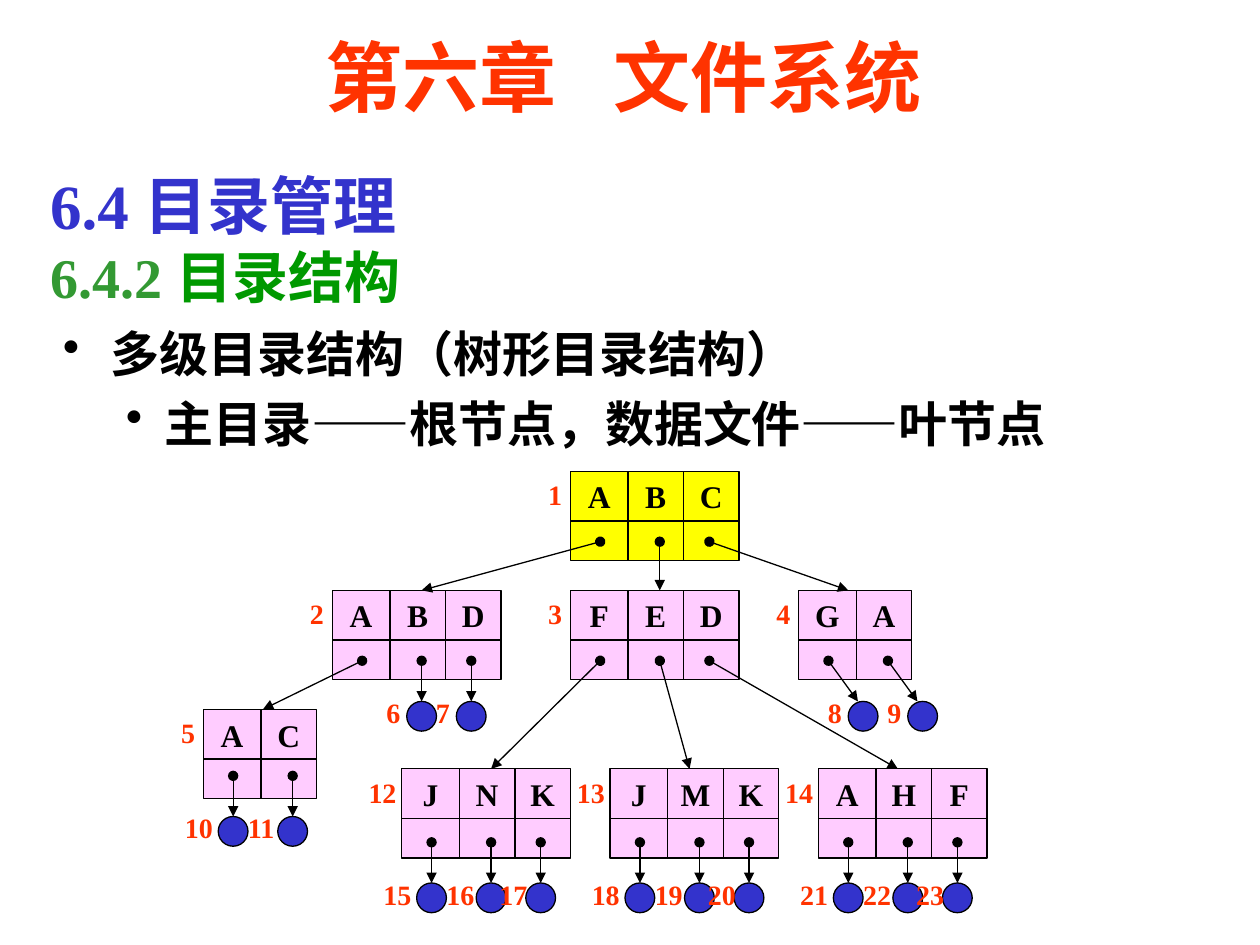
import dataclasses

import lxml.etree
import pptx
import pptx.dml.color
import pptx.enum.shapes
import pptx.enum.text
import pptx.oxml.ns
import pptx.util


@dataclasses.dataclass(frozen=True)
class Theme:
    font: str = "Times New Roman"
    red: str = "FF3300"
    blue: str = "3333CC"
    green: str = "339933"
    dark_green: str = "009900"
    black: str = "000000"
    yellow: str = "FFFF00"
    pink: str = "FFCCFF"
    title: int = 44
    section: int = 36
    subsection: int = 32
    body: int = 28
    entry: int = 18
    number: int = 16
    line: float = 0.75


@dataclasses.dataclass(frozen=True)
class Directory:
    number: int
    names: str
    column: float
    row: float
    fill: str
    entry: float = 0
    children: tuple = ()
    leaves: tuple = ()
    leaf_shift: float = 0
    leaf_drop: float = 12.7


THEME = Theme()
WIDTH, HEIGHT = pptx.util.Inches(10), pptx.util.Inches(7.5)
CELL_EDGES = (5.8, 11.4, 17)
POINTERS = (3, 9, 14)
NAME_ROW, BOX_HEIGHT, LEAF = 5, 9, 3
TREE_COLUMN, TREE_ROW = 20.5, 47.5

DIRECTORIES = (
    Directory(1, "ABC", 37, 0, THEME.yellow, children=(2, 3, 4)),
    Directory(2, "ABD", 13, 12, THEME.pink, 9, (5,), (6, 7)),
    Directory(3, "FED", 37, 12, THEME.pink, 9, (12, 13, 14)),
    Directory(4, "GA", 60, 12, THEME.pink, 5, leaves=(8, 9), leaf_shift=3.5),
    Directory(5, "AC", 0, 24, THEME.pink, 6, leaves=(10, 11), leaf_drop=12.3),
    Directory(12, "JNK", 20, 30, THEME.pink, 9, leaves=(15, 16, 17), leaf_drop=13),
    Directory(13, "JMK", 41, 30, THEME.pink, 8, leaves=(18, 19, 20), leaf_drop=13),
    Directory(14, "AHF", 62, 30, THEME.pink, 8, leaves=(21, 22, 23), leaf_drop=13),
)


def grid(steps):
    return pptx.util.Mm(2 * steps)


def share(left, top, width, height):
    return int(left * WIDTH), int(top * HEIGHT), int(width * WIDTH), int(height * HEIGHT)


def color(value):
    return pptx.dml.color.RGBColor.from_string(value)


def format_run(run, size, value):
    run.font.name = THEME.font
    run.font.size = pptx.util.Pt(size)
    run.font.bold = True
    run.font.color.rgb = color(value)


def add_run(paragraph, text, size, value):
    run = paragraph.add_run()
    run.text = text
    format_run(run, size, value)
    return run


def add_element(parent, tag, **attributes):
    return lxml.etree.SubElement(parent, pptx.oxml.ns.qn(tag), **attributes)


def text_box(slide, box):
    frame = slide.shapes.add_textbox(*box).text_frame
    frame.word_wrap = True
    return frame


def add_shape(slide, kind, left, top, width, height, fill):
    shape = slide.shapes.add_shape(kind, *map(grid, (left, top, width, height)))
    shape.shadow.inherit = False
    shape.fill.solid()
    shape.fill.fore_color.rgb = color(fill)
    shape.line.color.rgb = color(THEME.black)
    shape.line.width = pptx.util.Pt(THEME.line)
    return shape


def add_line(slide, start, end, arrow=False):
    connector = slide.shapes.add_connector(
        pptx.enum.shapes.MSO_CONNECTOR.STRAIGHT, *map(grid, start + end))
    connector.line.color.rgb = color(THEME.black)
    connector.line.width = pptx.util.Pt(THEME.line)
    if arrow:
        line = connector.line._get_or_add_ln()
        add_element(line, "a:headEnd", type="oval")
        add_element(line, "a:tailEnd", type="triangle")
    add_element(connector._element.spPr, "a:effectLst")


def add_number(slide, number, left, top):
    width = 4 if number < 10 else 6
    frame = text_box(slide, map(grid, (left, top, width, 4.7)))
    add_run(frame.paragraphs[0], str(number), THEME.number, THEME.red)


def place_title(slide, box):
    title = slide.shapes.title
    title.left, title.top, title.width, title.height = box
    title.text_frame.vertical_anchor = pptx.enum.text.MSO_ANCHOR.MIDDLE
    paragraph = title.text_frame.paragraphs[0]
    paragraph.alignment = pptx.enum.text.PP_ALIGN.CENTER
    add_run(paragraph, "第六章", THEME.title, THEME.red)
    gap = add_run(paragraph, " ", THEME.title, THEME.red)
    gap.font._element.set("spc", "2200")
    add_run(paragraph, "文件系统", THEME.title, THEME.red)


def place_headings(slide, box):
    paragraph = text_box(slide, box).paragraphs[0]
    add_run(paragraph, "6.4 目录管理", THEME.section, THEME.blue)
    paragraph.add_line_break()
    add_run(paragraph, "6.4.2 ", THEME.subsection, THEME.green)
    add_run(paragraph, "目录结构", THEME.subsection, THEME.dark_green)


def place_bullets(slide, box):
    frame = text_box(slide, box)
    frame.text = "多级目录结构（树形目录结构）\n主目录——根节点，数据文件——叶节点"
    for level, (paragraph, margin, hang) in enumerate(
            zip(frame.paragraphs, (0.38, 0.81), (0.38, 0.31))):
        paragraph.level = level
        paragraph.line_spacing = 1.1
        paragraph.space_before = pptx.util.Pt(THEME.body / 10)
        properties = paragraph._p.get_or_add_pPr()
        properties.set("marL", str(pptx.util.Inches(margin)))
        properties.set("indent", str(-pptx.util.Inches(hang)))
        add_element(properties, "a:buChar", char="•")
        format_run(paragraph.runs[0], THEME.body, THEME.black)


def place_directory(slide, directory, left, top):
    edges = CELL_EDGES[:len(directory.names)]
    width = edges[-1]
    box = add_shape(slide, pptx.enum.shapes.MSO_SHAPE.RECTANGLE,
                    left, top, width, BOX_HEIGHT, directory.fill)
    frame = box.text_frame
    frame.margin_left = frame.margin_right = 0
    frame.vertical_anchor = pptx.enum.text.MSO_ANCHOR.TOP
    paragraph = frame.paragraphs[0]
    paragraph.alignment = pptx.enum.text.PP_ALIGN.LEFT
    tabs = add_element(paragraph._p.get_or_add_pPr(), "a:tabLst")
    for start, end in zip((0,) + edges, edges):
        add_element(tabs, "a:tab", pos=str(grid((start + end) / 2)), algn="ctr")
    add_run(paragraph, "".join("\t" + name for name in directory.names),
            THEME.entry, THEME.black)
    add_line(slide, (left, top + NAME_ROW), (left + width, top + NAME_ROW))
    for edge in edges[:-1]:
        add_line(slide, (left + edge, top), (left + edge, top + BOX_HEIGHT))
    add_number(slide, directory.number, left - (3.5 if directory.number < 10 else 4.6), top)


def place_leaf(slide, number, index, pointer, center):
    x, y = center
    add_shape(slide, pptx.enum.shapes.MSO_SHAPE.OVAL,
              x - LEAF / 2, y - LEAF / 2, LEAF, LEAF, THEME.blue)
    add_line(slide, pointer, (x - 0.15 * (x - pointer[0]), y - LEAF / 2), arrow=True)
    add_number(slide, number, x - (4.8 if number < 10 else 6.1 - 0.35 * index), y - 2.7)


def place_tree(slide, column, row):
    places = {item.number: (column + item.column, row + item.row) for item in DIRECTORIES}
    entries = {item.number: item.entry for item in DIRECTORIES}
    for directory in DIRECTORIES:
        place_directory(slide, directory, *places[directory.number])
    for directory in DIRECTORIES:
        left, top = places[directory.number]
        targets = directory.children + directory.leaves
        for index, (target, offset) in enumerate(zip(targets, POINTERS)):
            pointer = (left + offset, top + directory.leaf_drop - 5.6)
            if target in places:
                x, y = places[target]
                add_line(slide, pointer, (x + entries[target], y), arrow=True)
            else:
                center = (left + offset + directory.leaf_shift, top + directory.leaf_drop)
                place_leaf(slide, target, index, pointer, center)


def main():
    presentation = pptx.Presentation()
    presentation.slide_width, presentation.slide_height = WIDTH, HEIGHT
    slide = presentation.slides.add_slide(presentation.slide_layouts[5])
    place_title(slide, share(0.12, 0.03, 0.75, 0.1))
    place_headings(slide, share(0.03, 0.17, 0.93, 0.16))
    place_bullets(slide, share(0.04, 0.33, 0.94, 0.15))
    place_tree(slide, TREE_COLUMN, TREE_ROW)
    presentation.save("out.pptx")


if __name__ == "__main__":
    main()
